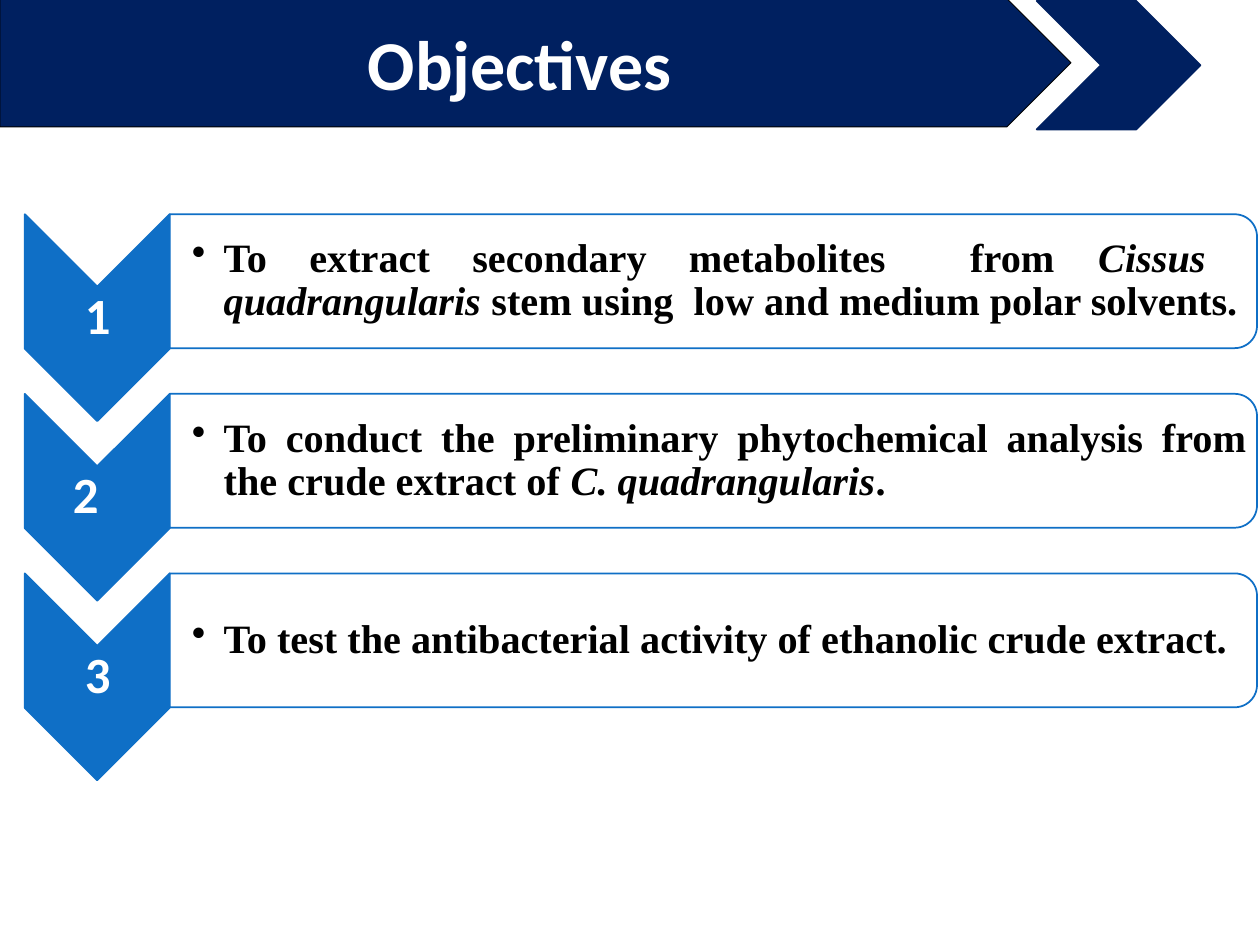
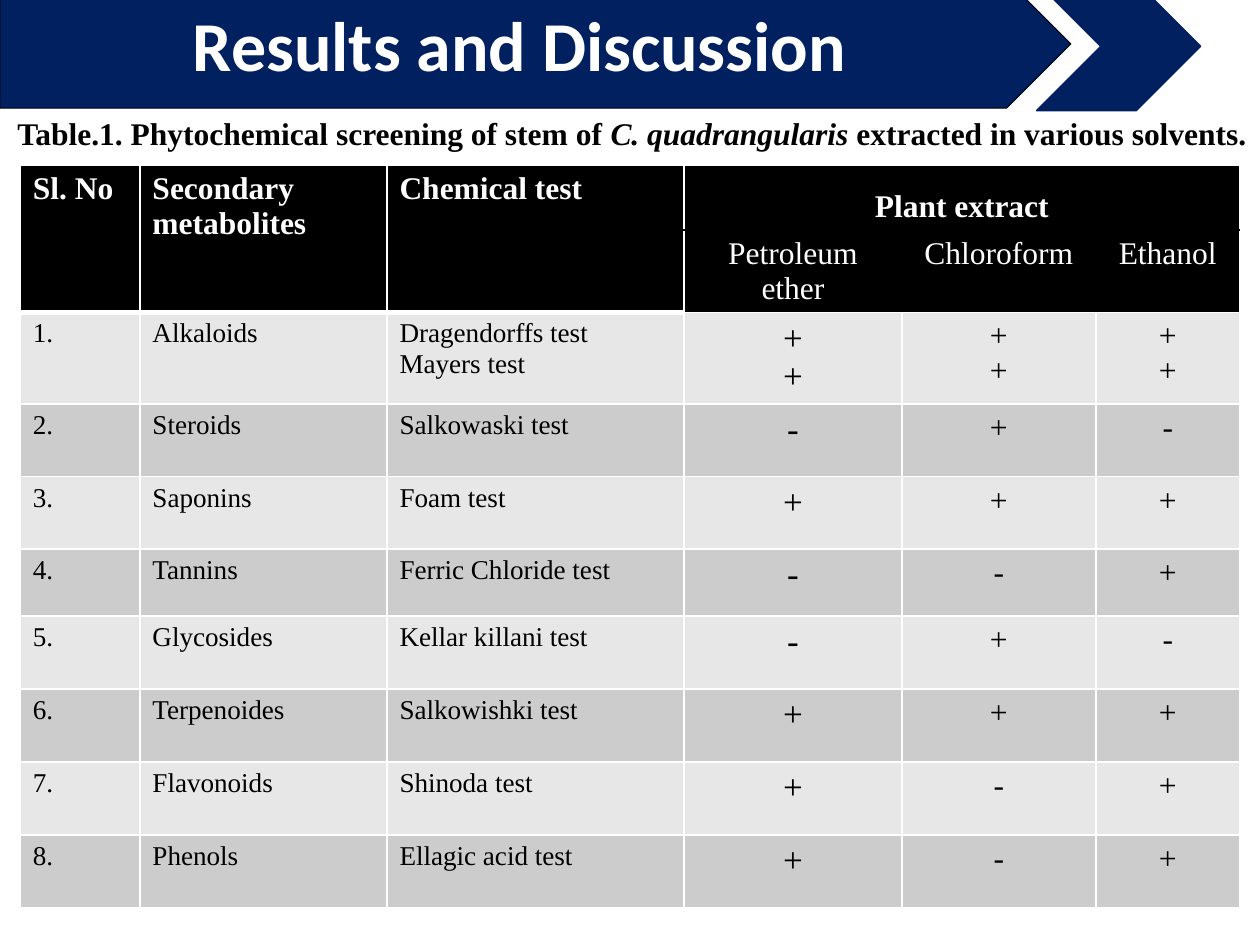
from lxml.etree import SubElement
from pptx import Presentation
from pptx.dml.color import RGBColor
from pptx.enum.shapes import MSO_SHAPE
from pptx.enum.text import MSO_ANCHOR, MSO_AUTO_SIZE, PP_ALIGN
from pptx.oxml import parse_xml
from pptx.oxml.ns import nsdecls, qn
from pptx.util import Cm, Pt

# Shared style
NAVY, BLUE, BLACK, WHITE = "002060", "0F6FC6", "000000", "FFFFFF"
STRIPES = ("E7E7E7", "CCCCCC")
HEADING_FONT, BODY_FONT = "Calibri", "Times New Roman"
BAND_HEIGHT = 2.59

# Slide 1: number, its indent in cm, and (text, italic) spans
OBJECTIVES = [
    ("1", 1.16, [("To extract secondary metabolites  from ", False),
                 ("Cissus  quadrangularis ", True),
                 ("stem using  low and medium polar solvents.", False)]),
    ("2", 0.92, [("To conduct the preliminary phytochemical analysis from "
                  "the crude extract of ", False),
                 ("C. quadrangularis", True), (".", False)]),
    ("3", 1.16, [("To test the antibacterial activity of ethanolic crude extract.",
                  False)]),
]

# Slide 2: caption, headings and test results (one sign per test)
CAPTION = [("Table.1. Phytochemical screening of stem of ", False),
           ("C. quadrangularis ", True),
           ("extracted in various solvents.", False)]
HEADINGS = ["Sl. No", "Secondary metabolites", "Chemical test"]
EXTRACT_HEADING = "Plant extract"
SOLVENTS = ["Petroleum ether", "Chloroform", "Ethanol"]
RESULTS = [
    ("Alkaloids", ["Dragendorffs test", "Mayers test"], ["++", "++", "++"]),
    ("Steroids", ["Salkowaski test"], ["-", "+", "-"]),
    ("Saponins", ["Foam test"], ["+", "+", "+"]),
    ("Tannins", ["Ferric Chloride test"], ["-", "-", "+"]),
    ("Glycosides", ["Kellar killani test"], ["-", "+", "-"]),
    ("Terpenoides", ["Salkowishki test"], ["+", "+", "+"]),
    ("Flavonoids", ["Shinoda test"], ["+", "-", "+"]),
    ("Phenols", ["Ellagic acid test"], ["+", "-", "+"]),
]
COLUMN_WIDTHS = [2.41, 4.98, 5.99, 4.39, 3.91, 2.9]
ROW_HEIGHTS = [1.3, 1.63, 1.84, 1.47, 1.46, 1.35, 1.47, 1.47, 1.47, 1.47]
BODY_SIZES = [15.5, 15.5, 15.5, 20, 18, 18]


def colour(value):
    return RGBColor.from_string(value)


def add_span(para, text, size, font, ink, bold=False, italic=False):
    span = para.add_run()
    span.text = text
    span.font.size, span.font.name = Pt(size), font
    span.font.bold, span.font.italic = bold, italic
    span.font.color.rgb = colour(ink)


def add_figure(page, kind, left, top, width, height, fill, line, line_width=1,
               turned=False):
    """Place a shape by the box it shows in; a turned one is rotated by 90°."""
    if turned:
        left, top = left + (width - height) / 2, top + (height - width) / 2
        width, height = height, width
    figure = page.shapes.add_shape(kind, Cm(left), Cm(top), Cm(width), Cm(height))
    figure.rotation = 90 if turned else 0
    figure.shadow.inherit = False
    figure.fill.solid()
    figure.fill.fore_color.rgb = colour(fill)
    figure.line.color.rgb = colour(line)
    figure.line.width = Pt(line_width)
    return figure


def add_text_box(page, left, top, width, height, insets=None):
    box = page.shapes.add_textbox(Cm(left), Cm(top), Cm(width), Cm(height))
    frame = box.text_frame
    frame.word_wrap = True
    if insets:
        frame.vertical_anchor = MSO_ANCHOR.MIDDLE
        (frame.margin_left, frame.margin_top,
         frame.margin_right, frame.margin_bottom) = map(Cm, insets)
    return frame.paragraphs[0]


def add_page(deck, heading, top):
    """Add a slide with the arrow band and its title."""
    page = deck.slides.add_slide(deck.slide_layouts[5])
    title = page.shapes.title
    band = add_figure(page, MSO_SHAPE.PENTAGON, 0, top, 21.59, BAND_HEIGHT,
                      NAVY, BLACK, 0.5)
    tip = add_figure(page, MSO_SHAPE.CHEVRON, 20.9, top + 0.05, 3.3, BAND_HEIGHT,
                     NAVY, NAVY)
    for figure in (band, tip):
        title.element.addprevious(figure.element)
    title.left, title.top = Cm(0), Cm(top)
    title.width, title.height = Cm(20.95), Cm(BAND_HEIGHT)
    frame = title.text_frame
    frame.auto_size = MSO_AUTO_SIZE.NONE
    frame.vertical_anchor = MSO_ANCHOR.MIDDLE
    para = frame.paragraphs[0]
    para.alignment = PP_ALIGN.CENTER
    add_span(para, heading, 40, HEADING_FONT, WHITE, bold=True)
    return page


def add_objective(page, top, number, indent, spans):
    # Numbered chevron
    add_figure(page, MSO_SHAPE.CHEVRON, 0.5, top, 2.92, 4.17, BLUE, BLUE, turned=True)
    para = add_text_box(page, 0.5, top + 1.46, 2.92, 1.25, [0.05] * 4)
    para.line_spacing = 0.9
    para._p.get_or_add_pPr().set("marL", str(Cm(indent)))
    add_span(para, number, 29, HEADING_FONT, WHITE, bold=True)

    # Rounded panel, slightly transparent
    panel = add_figure(page, MSO_SHAPE.ROUND_2_SAME_RECTANGLE, 3.42, top, 21.92, 2.7,
                       WHITE, BLUE, turned=True)
    tint = panel.element.spPr.find(qn("a:solidFill"))[0]
    SubElement(tint, qn("a:alpha"), val="90000")

    # Bulleted objective
    para = add_text_box(page, 3.42, top + 0.13, 21.79, 2.44, [0.45, 0.05, 0.05, 0.05])
    para.alignment = PP_ALIGN.JUSTIFY
    para.line_spacing = 0.9
    properties = para._p.get_or_add_pPr()
    properties.set("marL", str(Cm(0.64)))
    properties.set("indent", str(-Cm(0.64)))
    SubElement(properties, qn("a:buChar"), char="•")
    for text, italic in spans:
        add_span(para, text, 23, BODY_FONT, BLACK, bold=True, italic=italic)


def fill_cell(cell, lines, size, ink, fill, bold=False, centred=False, spacing=None):
    cell.fill.solid()
    cell.fill.fore_color.rgb = colour(fill)
    for index, text in enumerate(lines):
        frame = cell.text_frame
        para = frame.add_paragraph() if index else frame.paragraphs[0]
        para.alignment = PP_ALIGN.CENTER if centred else PP_ALIGN.LEFT
        if spacing:
            para.line_spacing = spacing
        add_span(para, text, size, BODY_FONT, ink, bold)


def set_borders(cell, **special):
    """Draw white 1 pt edges, except those given as L, R, T or B = (colour, points)."""
    properties = cell._tc.get_or_add_tcPr()
    for index, side in enumerate("LRTB"):
        ink, width = special.get(side, (WHITE, 1))
        properties.insert(index, parse_xml(
            f'<a:ln{side} {nsdecls("a")} w="{Pt(width)}"><a:solidFill>'
            f'<a:srgbClr val="{ink}"/></a:solidFill></a:ln{side}>'))


def add_results_table(page):
    table = page.shapes.add_table(
        len(ROW_HEIGHTS), len(COLUMN_WIDTHS), Cm(0.41), Cm(3.33),
        Cm(sum(COLUMN_WIDTHS)), Cm(sum(ROW_HEIGHTS))).table
    for column, width in zip(table.columns, COLUMN_WIDTHS):
        column.width = Cm(width)
    for row, height in zip(table.rows, ROW_HEIGHTS):
        row.height = Cm(height)

    # Two header rows
    thin = (BLACK, 1)
    for column, text in enumerate(HEADINGS):
        table.cell(0, column).merge(table.cell(1, column))
        fill_cell(table.cell(0, column), [text], 18, WHITE, BLACK, bold=True)
        for row in (0, 1):
            set_borders(table.cell(row, column), B=(WHITE, 3))
    first = len(HEADINGS)
    last = first + len(SOLVENTS) - 1
    table.cell(0, first).merge(table.cell(0, last))
    fill_cell(table.cell(0, first), [EXTRACT_HEADING], 18, WHITE, BLACK,
              bold=True, centred=True, spacing=1.5)
    for column, text in enumerate(SOLVENTS, first):
        set_borders(table.cell(0, column), B=thin)
        cell = table.cell(1, column)
        fill_cell(cell, [text], 18, WHITE, BLACK, centred=True)
        set_borders(cell, T=thin, L=(WHITE, 1) if column == first else thin,
                    R=(WHITE, 1) if column == last else thin)

    # Striped body rows
    for index, (metabolite, tests, signs) in enumerate(RESULTS):
        contents = [[f"{index + 1}."], [metabolite], tests, *signs]
        for column, lines in enumerate(contents):
            cell = table.cell(index + 2, column)
            fill_cell(cell, lines, BODY_SIZES[column], BLACK, STRIPES[index % 2],
                      centred=column >= first)
            set_borders(cell)


def main():
    deck = Presentation()
    deck.slide_width, deck.slide_height = Cm(25.4), Cm(19.05)

    # Objectives
    page = add_page(deck, "Objectives", -0.03)
    for index, objective in enumerate(OBJECTIVES):
        add_objective(page, 4.32 + 3.62 * index, *objective)

    # Results
    page = add_page(deck, "Results and Discussion", -0.41)
    add_results_table(page)
    caption = add_text_box(page, 0.1, 2.18, 25.5, 1.02)
    for text, italic in CAPTION:
        add_span(caption, text, 18, BODY_FONT, BLACK, bold=True, italic=italic)

    deck.save("out.pptx")


if __name__ == "__main__":
    main()
